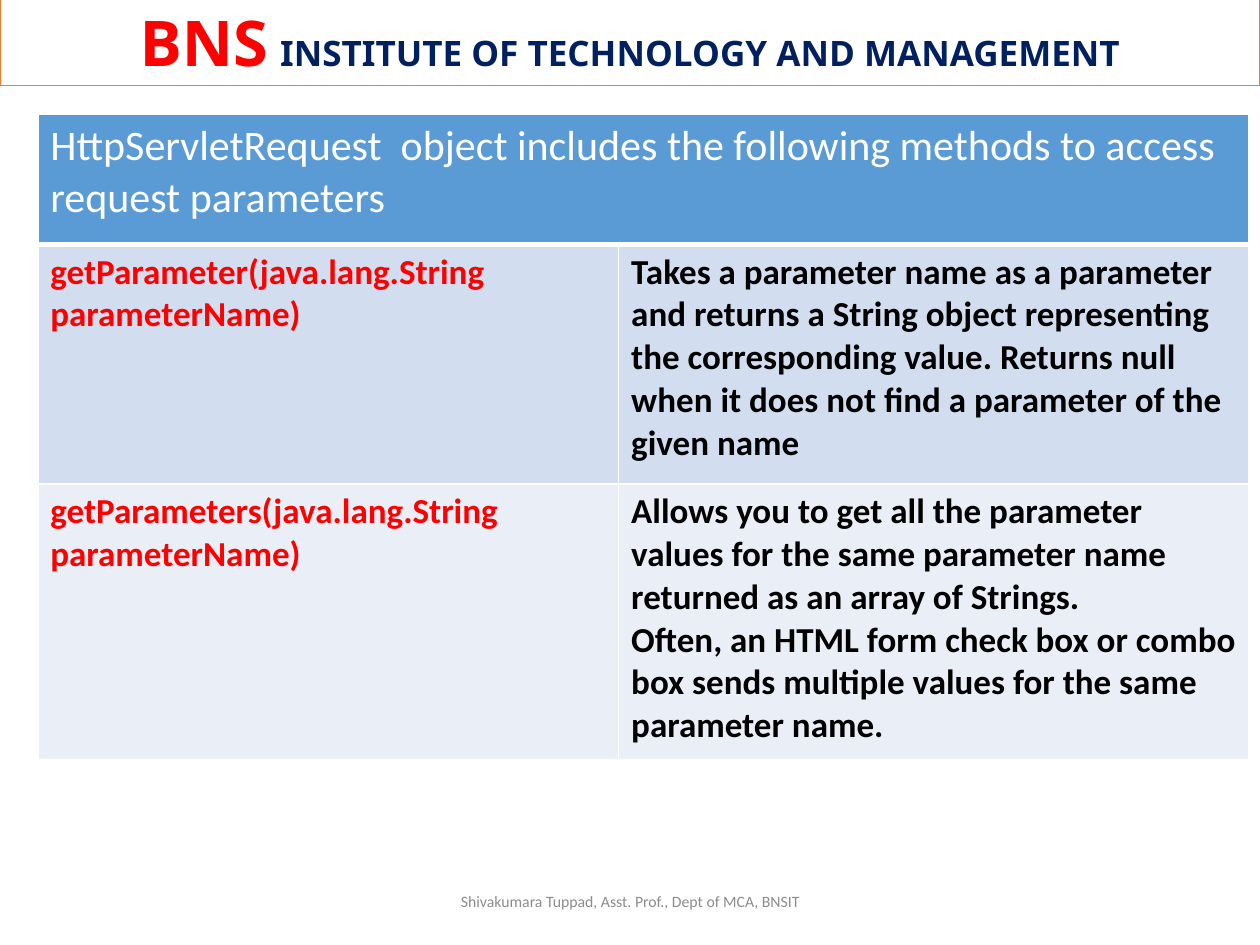
from dataclasses import dataclass

from lxml.etree import SubElement
from pptx import Presentation
from pptx.dml.color import RGBColor
from pptx.enum.text import MSO_ANCHOR, MSO_AUTO_SIZE, PP_ALIGN
from pptx.oxml.ns import qn
from pptx.util import Inches, Pt


@dataclass(frozen=True)
class Theme:
    heading_font: str = "Noto Sans"
    body_font: str = "Calibri"
    white: str = "FFFFFF"
    black: str = "000000"
    red: str = "FF0000"
    navy: str = "002060"
    orange: str = "ED7D31"
    gray: str = "8C8C8C"
    header_fill: str = "5B9BD5"
    row_fills: tuple = ("D2DEEF", "EAEFF7")
    acronym_size: int = 36
    gap_size: int = 27
    institute_size: int = 20
    header_size: int = 24
    cell_size: int = 20
    footer_size: int = 9


THEME = Theme()

TABLE_HEADER = ("HttpServletRequest  object includes the following methods "
                "to access request parameters")
METHODS = [
    ("getParameter(java.lang.String parameterName)",
     "Takes a parameter name as a parameter and returns a String object "
     "representing the corresponding value. Returns null when it does not "
     "find a parameter of the given name"),
    ("getParameters(java.lang.String parameterName)",
     "Allows you to get all the parameter values for the same parameter name "
     "returned as an array of Strings.\n"
     "Often, an HTML form check box or combo box sends multiple values for "
     "the same parameter name."),
]
COLUMN_WIDTHS = (4.61, 5)
ROW_HEIGHTS = (1.03, 1.9, 2.19)


def style_font(font, name, size, color, bold=False):
    font.name = name
    font.size = Pt(size)
    font.bold = bold
    font.color.rgb = RGBColor.from_string(color)


def add_banner(slide):
    banner = slide.shapes.title
    banner.left, banner.top = Inches(0), Inches(-0.03)
    banner.width, banner.height = Inches(10), Inches(0.71)
    banner.fill.solid()
    banner.fill.fore_color.rgb = RGBColor.from_string(THEME.white)
    banner.line.color.rgb = RGBColor.from_string(THEME.orange)
    banner.line.width = Pt(1)
    frame = banner.text_frame
    frame.auto_size = MSO_AUTO_SIZE.NONE
    frame.vertical_anchor = MSO_ANCHOR.MIDDLE
    paragraph = frame.paragraphs[0]
    paragraph.alignment = PP_ALIGN.CENTER
    for text, size, color in (
        ("BNS", THEME.acronym_size, THEME.red),
        (" ", THEME.gap_size, THEME.red),
        ("INSTITUTE OF TECHNOLOGY AND MANAGEMENT", THEME.institute_size, THEME.navy),
    ):
        run = paragraph.add_run()
        run.text = text
        style_font(run.font, THEME.heading_font, size, color, bold=True)


def add_footer(slide, text):
    footer = slide.shapes.add_textbox(
        Inches(3.31), Inches(6.95), Inches(3.38), Inches(0.4))
    frame = footer.text_frame
    frame.word_wrap = True
    frame.vertical_anchor = MSO_ANCHOR.MIDDLE
    paragraph = frame.paragraphs[0]
    paragraph.text = text
    paragraph.alignment = PP_ALIGN.CENTER
    style_font(paragraph.font, THEME.body_font, THEME.footer_size, THEME.gray)


def set_borders(cell, top=1, bottom=1):
    properties = cell._tc.get_or_add_tcPr()
    widths = {"a:lnL": 1, "a:lnR": 1, "a:lnT": top, "a:lnB": bottom}
    for position, (tag, width) in enumerate(widths.items()):
        line = SubElement(properties, qn(tag), w=str(Pt(width)))
        fill = SubElement(line, qn("a:solidFill"))
        SubElement(fill, qn("a:srgbClr"), val=THEME.white)
        # Border lines come before the cell fill
        properties.insert(position, line)


def fill_cell(cell, text, fill, size, color, bold=False):
    cell.fill.solid()
    cell.fill.fore_color.rgb = RGBColor.from_string(fill)
    cell.text = text
    for paragraph in cell.text_frame.paragraphs:
        style_font(paragraph.font, THEME.body_font, size, color, bold)


def add_method_table(slide):
    table = slide.shapes.add_table(
        len(ROW_HEIGHTS), len(COLUMN_WIDTHS), Inches(0.3), Inches(0.91),
        Inches(sum(COLUMN_WIDTHS)), Inches(sum(ROW_HEIGHTS))).table
    for column, width in zip(table.columns, COLUMN_WIDTHS):
        column.width = Inches(width)
    for row, height in zip(table.rows, ROW_HEIGHTS):
        row.height = Inches(height)

    # Header across both columns
    table.cell(0, 0).merge(table.cell(0, 1))
    fill_cell(table.cell(0, 0), TABLE_HEADER, THEME.header_fill,
              THEME.header_size, THEME.white)

    # One row per method
    for index, (texts, fill) in enumerate(zip(METHODS, THEME.row_fills), start=1):
        for column, (text, color) in enumerate(zip(texts, (THEME.red, THEME.black))):
            fill_cell(table.cell(index, column), text, fill,
                      THEME.cell_size, color, bold=True)

    # White grid, thicker below the header
    for index, row in enumerate(table.rows):
        for cell in row.cells:
            set_borders(cell, top=3 if index == 1 else 1,
                        bottom=3 if index == 0 else 1)


def main():
    presentation = Presentation()
    presentation.slide_width, presentation.slide_height = Inches(10), Inches(7.5)
    title_only = presentation.slide_layouts[5]
    slide = presentation.slides.add_slide(title_only)
    add_banner(slide)
    add_footer(slide, "Shivakumara Tuppad, Asst. Prof., Dept of MCA, BNSIT")
    add_method_table(slide)
    presentation.save("out.pptx")


if __name__ == "__main__":
    main()
